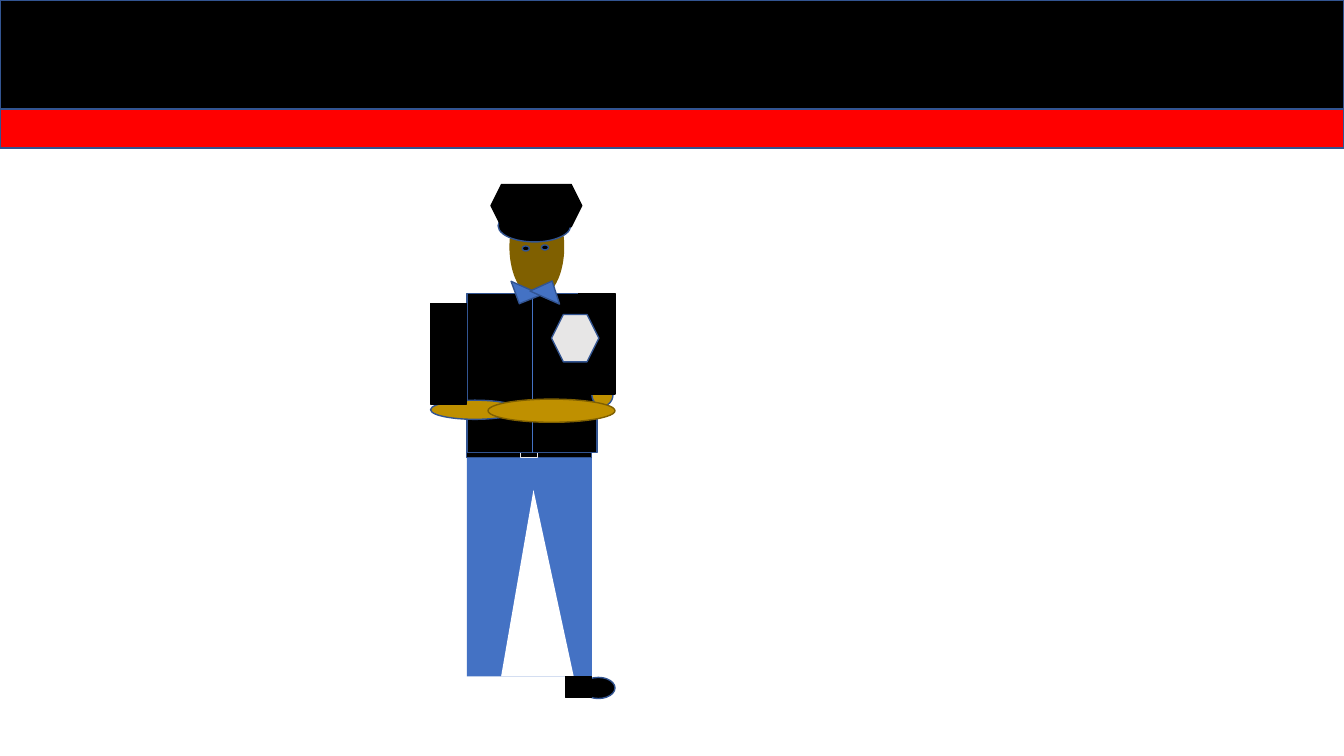
from lxml.etree import SubElement
from pptx import Presentation
from pptx.dml.color import RGBColor
from pptx.enum.shapes import MSO_CONNECTOR, MSO_SHAPE
from pptx.oxml.ns import qn
from pptx.util import Pt

EMU_PER_PX = 9144  # 100 px to the inch

COLORS = {
    "black": "000000",
    "red": "FF0000",
    "white": "FFFFFF",
    "blue": "4472C4",
    "navy": "325491",
    "brown": "806000",
    "gold": "BF9000",
    "silver": "E7E6E6",
}

RECTANGLE = MSO_SHAPE.RECTANGLE
OVAL = MSO_SHAPE.OVAL
TRIANGLE = MSO_SHAPE.ISOSCELES_TRIANGLE
HEXAGON = MSO_SHAPE.HEXAGON


def px(length):
    return length * EMU_PER_PX


def color(name):
    return RGBColor.from_string(COLORS[name])


def add_figure(slide, kind, box, fill, line="navy", line_width=1):
    """Add a preset shape; None for fill or line leaves that part empty."""
    shape = slide.shapes.add_shape(kind, *map(px, box))
    shape.shadow.inherit = False
    if fill:
        shape.fill.solid()
        shape.fill.fore_color.rgb = color(fill)
    else:
        shape.fill.background()
    if line:
        shape.line.color.rgb = color(line)
        shape.line.width = Pt(line_width)
    else:
        shape.line.fill.background()
    return shape


def add_line(slide, start, end, line, width):
    connector = slide.shapes.add_connector(
        MSO_CONNECTOR.STRAIGHT, *map(px, start + end))
    connector.line.color.rgb = color(line)
    connector.line.width = Pt(width)
    SubElement(connector._element.spPr, qn("a:effectLst"))


def add_banner(slide):
    add_figure(slide, RECTANGLE, (0, 0, 1333, 108), "black")
    add_figure(slide, RECTANGLE, (0, 108, 1333, 39), "red")


def add_legs(slide):
    add_figure(slide, RECTANGLE, (463, 449, 124, 222), "blue", None)
    gap = add_figure(slide, TRIANGLE, (497, 486, 72, 185), "white", None)
    gap.adjustments[0] = 0.446
    add_figure(slide, OVAL, (577, 672, 33, 21), "black")
    add_figure(slide, RECTANGLE, (561, 671, 26, 21), "black", "black")


def add_belt(slide):
    add_figure(slide, RECTANGLE, (463, 449, 124, 5), "black")
    add_figure(slide, RECTANGLE, (516, 449, 17, 5), None, "silver", 0.75)


def add_torso_and_arms(slide):
    add_figure(slide, RECTANGLE, (463, 291, 129, 158), "black")
    add_figure(slide, OVAL, (427, 397, 88, 19), "gold")
    add_figure(slide, OVAL, (587, 380, 21, 23), "gold")
    for left, top in ((574, 291), (427, 301)):
        add_figure(slide, RECTANGLE, (left, top, 36, 100), "black", "black")
    add_line(slide, (528, 291), (528, 449), "blue", 0.5)
    add_figure(slide, OVAL, (484, 396, 126, 23), "gold", "brown")


def add_bow_tie(slide):
    tilt = 23.9
    left_wing = add_figure(slide, TRIANGLE, (502, 285, 33, 17), "blue")
    left_wing.rotation = 180 + tilt
    right_wing = add_figure(slide, TRIANGLE, (528, 278, 32, 18), "blue")
    right_wing.rotation = tilt


def add_cap_and_eyes(slide):
    add_figure(slide, OVAL, (494, 208, 72, 32), "black")
    add_figure(slide, HEXAGON, (487, 183, 90, 42), "black", "black")
    for left, top in ((518, 244), (537, 243)):
        add_figure(slide, OVAL, (left, top, 7, 5), "black")


def main():
    presentation = Presentation()
    presentation.slide_width = px(1333)
    presentation.slide_height = px(750)
    slide = presentation.slides.add_slide(presentation.slide_layouts[6])

    add_figure(slide, OVAL, (506, 195, 53, 100), "brown", "brown")  # head
    add_banner(slide)
    add_legs(slide)
    add_belt(slide)
    add_torso_and_arms(slide)
    add_bow_tie(slide)
    add_cap_and_eyes(slide)
    add_figure(slide, HEXAGON, (547, 312, 47, 47), "silver")  # badge

    presentation.save("out.pptx")


if __name__ == "__main__":
    main()
